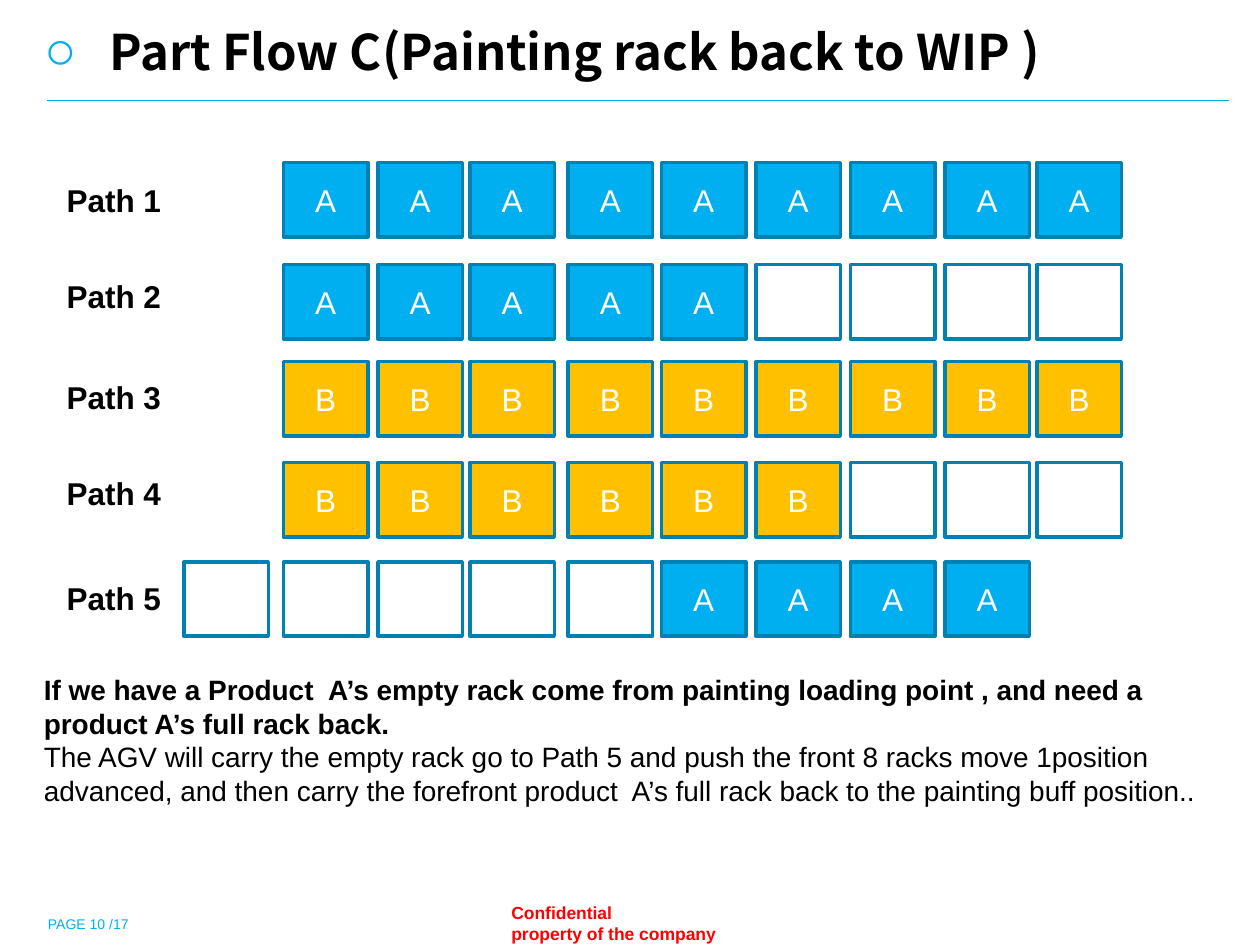
from lxml import etree
from pptx import Presentation
from pptx.dml.color import RGBColor
from pptx.enum.shapes import MSO_CONNECTOR, MSO_SHAPE
from pptx.enum.text import MSO_ANCHOR, MSO_AUTO_SIZE, PP_ALIGN
from pptx.oxml.ns import qn
from pptx.util import Inches, Pt

RECTANGLE, STRAIGHT = MSO_SHAPE.RECTANGLE, MSO_CONNECTOR.STRAIGHT
TOP, MIDDLE, BOTTOM = MSO_ANCHOR.TOP, MSO_ANCHOR.MIDDLE, MSO_ANCHOR.BOTTOM
LEFT, CENTER = PP_ALIGN.LEFT, PP_ALIGN.CENTER
NO_AUTOFIT = MSO_AUTO_SIZE.NONE
TITLE_ONLY = 5

COLORS = {
    "black": "000000", "white": "FFFFFF", "red": "FF0000", "accent": "00AFF0",
    "rule": "00ABEB", "outline": "0081B2", "amber": "FFC000",
}
RACK_FILLS = {"A": "accent", "B": "amber", " ": "white"}

# Rack grid in inches: column 0 is the extra position of path 5
COLUMNS = (1.46, 2.25, 3, 3.73, 4.51, 5.25, 6, 6.75, 7.5, 8.23)
RACK_WIDTH, RACK_HEIGHT = 0.67, 0.59

# Rack top, label top, first column, racks from left to right
PATHS = (
    (1.29, 1.39, 1, "AAAAAAAAA"),
    (2.10, 2.15, 1, "AAAAA    "),
    (2.87, 2.95, 1, "BBBBBBBBB"),
    (3.67, 3.71, 1, "BBBBBB   "),
    (4.46, 4.55, 0, "     AAAA"),
)


def color(name):
    return RGBColor.from_string(COLORS[name])


class SlideBuilder:
    font = "Arial"
    title_font = "Noto Sans CJK SC"

    def __init__(self, slide):
        self.slide = slide
        background = slide.background.fill
        background.solid()
        background.fore_color.rgb = color("white")

    def style(self, paragraph, size, color_name, bold=False, font=None):
        paragraph.font.name = font or self.font
        paragraph.font.size = Pt(size)
        paragraph.font.bold = bold
        paragraph.font.color.rgb = color(color_name)

    def title(self, text, left, top, width, height):
        shape = self.slide.shapes.title
        shape.left, shape.top = Inches(left), Inches(top)
        shape.width, shape.height = Inches(width), Inches(height)
        frame = shape.text_frame
        frame.text = text
        frame.auto_size = NO_AUTOFIT
        frame.vertical_anchor = MIDDLE
        paragraph = frame.paragraphs[0]
        paragraph.alignment = LEFT
        self.style(paragraph, 28, "black", True, self.title_font)
        self.bullet(paragraph, "○", "accent", 110, 0.52)

    def bullet(self, paragraph, character, color_name, percent, indent):
        properties = paragraph._p.get_or_add_pPr()
        properties.set("marL", str(Inches(indent)))
        properties.set("indent", str(-Inches(indent)))
        bullet_color = etree.Element(qn("a:buClr"))
        etree.SubElement(bullet_color, qn("a:srgbClr"), val=COLORS[color_name])
        parts = (
            bullet_color,
            etree.Element(qn("a:buSzPct"), val=str(percent * 1000)),
            etree.Element(qn("a:buFont"), typeface=self.font),
            etree.Element(qn("a:buChar"), char=character),
        )
        for position, part in enumerate(parts):
            properties.insert(position, part)

    def text(self, lines, left, top, width, height, size,
             color_name="black", anchor=TOP, inset=True):
        """Each line is a pair of wording and boldness."""
        box = self.slide.shapes.add_textbox(
            Inches(left), Inches(top), Inches(width), Inches(height))
        frame = box.text_frame
        frame.word_wrap = True
        frame.vertical_anchor = anchor
        if not inset:
            frame.margin_left = frame.margin_right = 0
            frame.margin_top = frame.margin_bottom = 0
        frame.text = "\n".join(wording for wording, _ in lines)
        for paragraph, (_, bold) in zip(frame.paragraphs, lines):
            self.style(paragraph, size, color_name, bold)

    def rule(self, left, right, top):
        line = self.slide.shapes.add_connector(
            STRAIGHT, Inches(left), Inches(top), Inches(right), Inches(top))
        line.line.color.rgb = color("rule")
        line.line.width = Pt(0.75)
        etree.SubElement(line._element.spPr, qn("a:effectLst"))

    def rack(self, column, top, product):
        shape = self.slide.shapes.add_shape(
            RECTANGLE, Inches(COLUMNS[column]), Inches(top),
            Inches(RACK_WIDTH), Inches(RACK_HEIGHT))
        shape.shadow.inherit = False
        shape.fill.solid()
        shape.fill.fore_color.rgb = color(RACK_FILLS[product])
        shape.line.color.rgb = color("outline")
        shape.line.width = Pt(2)
        if product != " ":
            frame = shape.text_frame
            frame.text = product
            frame.vertical_anchor = MIDDLE
            frame.paragraphs[0].alignment = CENTER
            self.style(frame.paragraphs[0], 18, "white")


presentation = Presentation()
presentation.slide_width, presentation.slide_height = Inches(10), Inches(7.5)
builder = SlideBuilder(
    presentation.slides.add_slide(presentation.slide_layouts[TITLE_ONLY]))

# Heading
builder.title("Part Flow C(Painting rack back to WIP )", 0.25, 0.17, 9.66, 0.47)
builder.rule(0.37, 9.75, 0.8)

# Paths with their racks
for number, (rack_top, label_top, first, racks) in enumerate(PATHS, 1):
    builder.text([(f"Path {number}", True)], 0.43, label_top, 1.22, 0.4, 18)
    for column, product in enumerate(racks, first):
        builder.rack(column, rack_top, product)

# Explanation
builder.text([
    ("If we have a Product  A’s empty rack come from painting loading point , "
     "and need a product A’s full rack back.", True),
    ("The AGV will carry the empty rack go to Path 5 and push the front 8 racks "
     "move 1position advanced, and then carry the forefront product  A’s full "
     "rack back to the painting buff position..", False),
], 0.25, 5.29, 9.66, 1.18, 16)

# Footer
builder.text([("PAGE 10 /17", False)], 0.38, 7.15, 8.03, 0.25, 8,
             "accent", BOTTOM, inset=False)
builder.text([("Confidential\vproperty of the company", True)],
             3.96, 7.11, 2.29, 0.43, 10, "red")

presentation.save("out.pptx")
